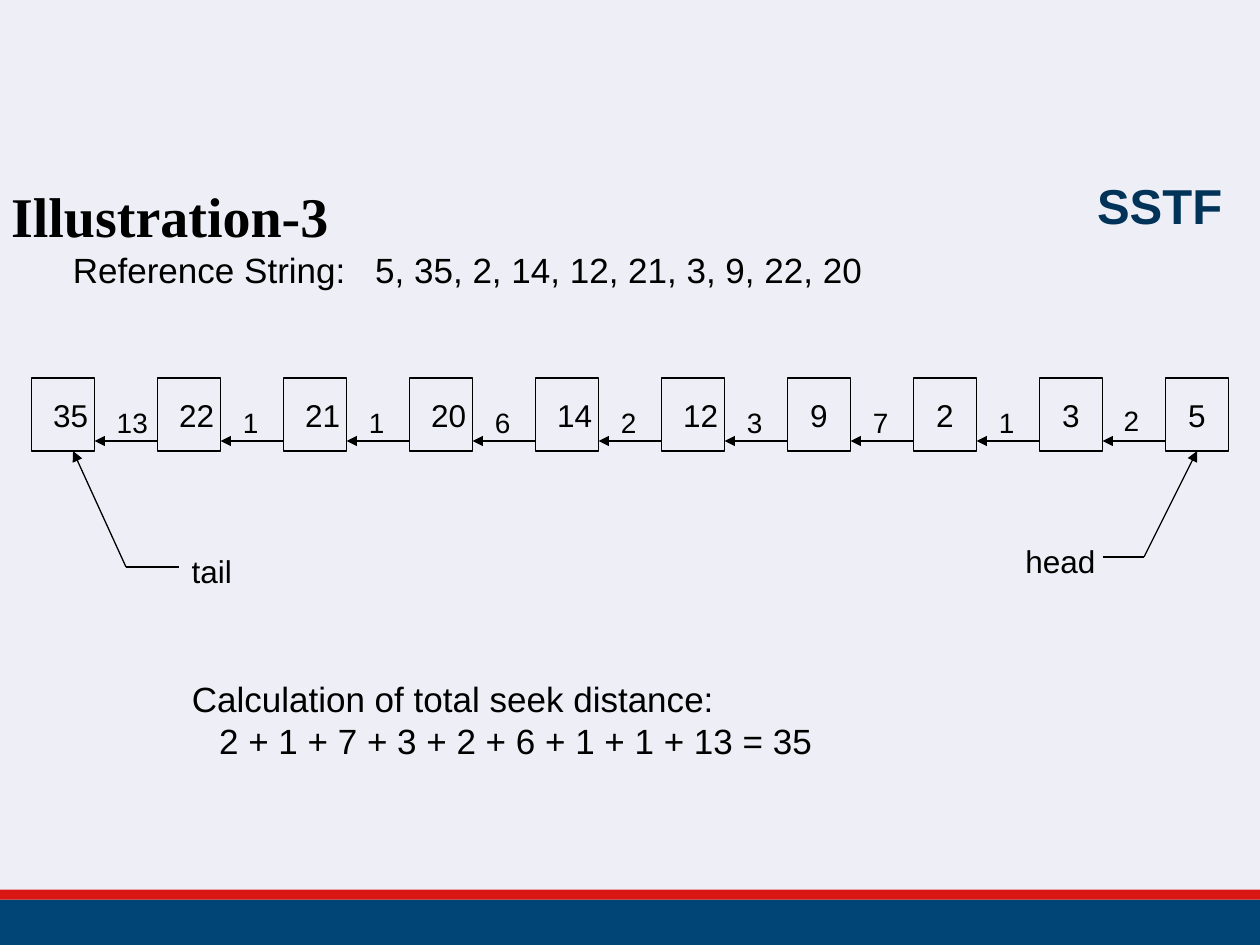
"""Build the SSTF disk scheduling slide: request queue, seek distances and total."""
from itertools import pairwise

from lxml.etree import SubElement
from pptx import Presentation
from pptx.dml.color import RGBColor
from pptx.enum.shapes import MSO_CONNECTOR, MSO_SHAPE
from pptx.enum.text import MSO_ANCHOR, PP_ALIGN
from pptx.oxml.ns import qn
from pptx.util import Emu, Pt

PX = 9144
THEME = {
    "colors": {"bg": "EEEEF6", "navy": "014476", "red": "D81714",
               "title": "013257", "ink": "000000"},
    "fonts": {
        "title": {"name": "Arial", "size": Pt(28), "bold": True},
        "heading": {"name": "Times New Roman", "size": Pt(32), "bold": True},
        "body": {"name": "Arial", "size": Pt(20), "bold": False},
        "node": {"name": "Arial", "size": Pt(18), "bold": False},
        "label": {"name": "Arial", "size": Pt(16), "bold": False},
    },
    "line": Pt(0.75),
}
LEFT, CENTER, RIGHT = PP_ALIGN.LEFT, PP_ALIGN.CENTER, PP_ALIGN.RIGHT

TITLE = ("SSTF", (27, 123, 953, 79))
BARS = [((0, 714, 1000, 36), "navy"), ((0, 706, 1000, 8), "red")]
QUEUE = [35, 22, 21, 20, 14, 12, 9, 2, 3, 5]
TEXTS = [
    (["Reference String:\t5, 35, 2, 14, 12, 21, 3, 9, 22, 20"],
     (48, 192, 646, 44), "body", LEFT),
    (["head"], (804, 425, 75, 40), "node", CENTER),
    (["tail"], (142, 433, 52, 40), "node", CENTER),
    (["Calculation of total seek distance:",
      "2 + 1 + 7 + 3 + 2 + 6 + 1 + 1 + 13 = 35"],
     (64, 533, 591, 77), "body", CENTER),
    (["Illustration-3"], (-1, 139, 347, 64), "heading", LEFT),
]
REFERENCE_TAB = 240
SUM_INDENT = 100
TEXT_INSET = 10

NODE_X, NODE_Y, NODE_W, NODE_H, PITCH = 25, 300, 50, 58, 100
WIDE_INSET = 12
ARROW_Y = 350
LABEL_Y, LABEL_W, LABEL_H = 317, 44, 37
LABEL_NUDGE = {0: (5, 0), 8: (-2, -2)}
HEAD_POINTS = [(875, 442), (908, 442), (950, 358)]
TAIL_POINTS = [(142, 450), (100, 450), (58, 358)]


def emu(*lengths):
    return [Emu(n * PX) for n in lengths]


def color(name):
    return RGBColor.from_string(THEME["colors"][name])


def set_attrs(obj, values):
    for name, value in values.items():
        setattr(obj, name, value)


def write(tf, lines, font, align, ink="ink"):
    for i, line in enumerate(lines):
        p = tf.paragraphs[0] if i == 0 else tf.add_paragraph()
        p.alignment = align
        r = p.add_run()
        r.text = line
        set_attrs(r.font, THEME["fonts"][font])
        r.font.color.rgb = color(ink)
        if "\t" in line:
            tabs = SubElement(p._p.get_or_add_pPr(), qn("a:tabLst"))
            SubElement(tabs, qn("a:tab"), pos=str(REFERENCE_TAB * PX), algn="l")
        if i > 0:
            p._p.get_or_add_pPr().set("marL", str(SUM_INDENT * PX))


def add_text(s, lines, box, font, align):
    tf = s.shapes.add_textbox(*emu(*box)).text_frame
    inset = TEXT_INSET if align == LEFT else 0
    set_attrs(tf, {"margin_left": Emu(inset * PX), "margin_right": 0,
                   "word_wrap": True})
    write(tf, lines, font, align)


def add_bar(s, box, fill):
    sp = s.shapes.add_shape(MSO_SHAPE.RECTANGLE, *emu(*box))
    sp.shadow.inherit = False
    sp.fill.solid()
    sp.fill.fore_color.rgb = color(fill)
    sp.line.fill.background()


def add_node(s, x, track):
    sp = s.shapes.add_shape(MSO_SHAPE.RECTANGLE, *emu(x, NODE_Y, NODE_W, NODE_H))
    sp.shadow.inherit = False
    sp.fill.background()
    sp.line.color.rgb = color("ink")
    sp.line.width = THEME["line"]
    inset = WIDE_INSET if track > 9 else 0
    set_attrs(sp.text_frame, {
        "margin_left": Emu(inset * PX), "margin_right": 0, "margin_top": 0,
        "margin_bottom": 0, "word_wrap": True,
        "vertical_anchor": MSO_ANCHOR.MIDDLE})
    write(sp.text_frame, [str(track)], "node", CENTER)
    return sp


def add_line(s, start, end, arrow=True):
    cx = s.shapes.add_connector(MSO_CONNECTOR.STRAIGHT, *emu(*start, *end))
    cx.line.color.rgb = color("ink")
    cx.line.width = THEME["line"]
    if arrow:
        SubElement(cx.line._get_or_add_ln(), qn("a:tailEnd"), type="triangle")
    SubElement(cx._element.spPr, qn("a:effectLst"))
    return cx


def add_pointer(s, points):
    start, elbow, tip = points
    add_line(s, start, elbow, arrow=False)
    return add_line(s, elbow, tip)


def add_queue(s):
    xs = [NODE_X + i * PITCH for i in range(len(QUEUE))]
    nodes = [add_node(s, x, track) for x, track in zip(xs, QUEUE)]
    for i, (track, previous) in enumerate(pairwise(QUEUE)):
        gap_left, gap_right = xs[i] + NODE_W, xs[i + 1]
        add_line(s, (gap_right, ARROW_Y), (gap_left, ARROW_Y))
        dx, dy = LABEL_NUDGE.get(i, (-1, 0))
        x = (gap_left + gap_right - LABEL_W) // 2 + dx
        add_text(s, [str(abs(track - previous))],
                 (x, LABEL_Y + dy, LABEL_W, LABEL_H), "label", CENTER)
    add_pointer(s, HEAD_POINTS).end_connect(nodes[-1], 2)
    add_pointer(s, TAIL_POINTS)


def main():
    prs = Presentation()
    prs.slide_width, prs.slide_height = emu(1000, 750)
    s = prs.slides.add_slide(prs.slide_layouts[5])
    s.background.fill.solid()
    s.background.fill.fore_color.rgb = color("bg")
    for box, fill in BARS:
        add_bar(s, box, fill)

    text, box = TITLE
    title = s.shapes.title
    set_attrs(title, dict(zip(("left", "top", "width", "height"), emu(*box))))
    title.text_frame.vertical_anchor = MSO_ANCHOR.MIDDLE
    write(title.text_frame, [text], "title", RIGHT, "title")

    for item in TEXTS:
        add_text(s, *item)
    add_queue(s)
    prs.save("out.pptx")


if __name__ == "__main__":
    main()
